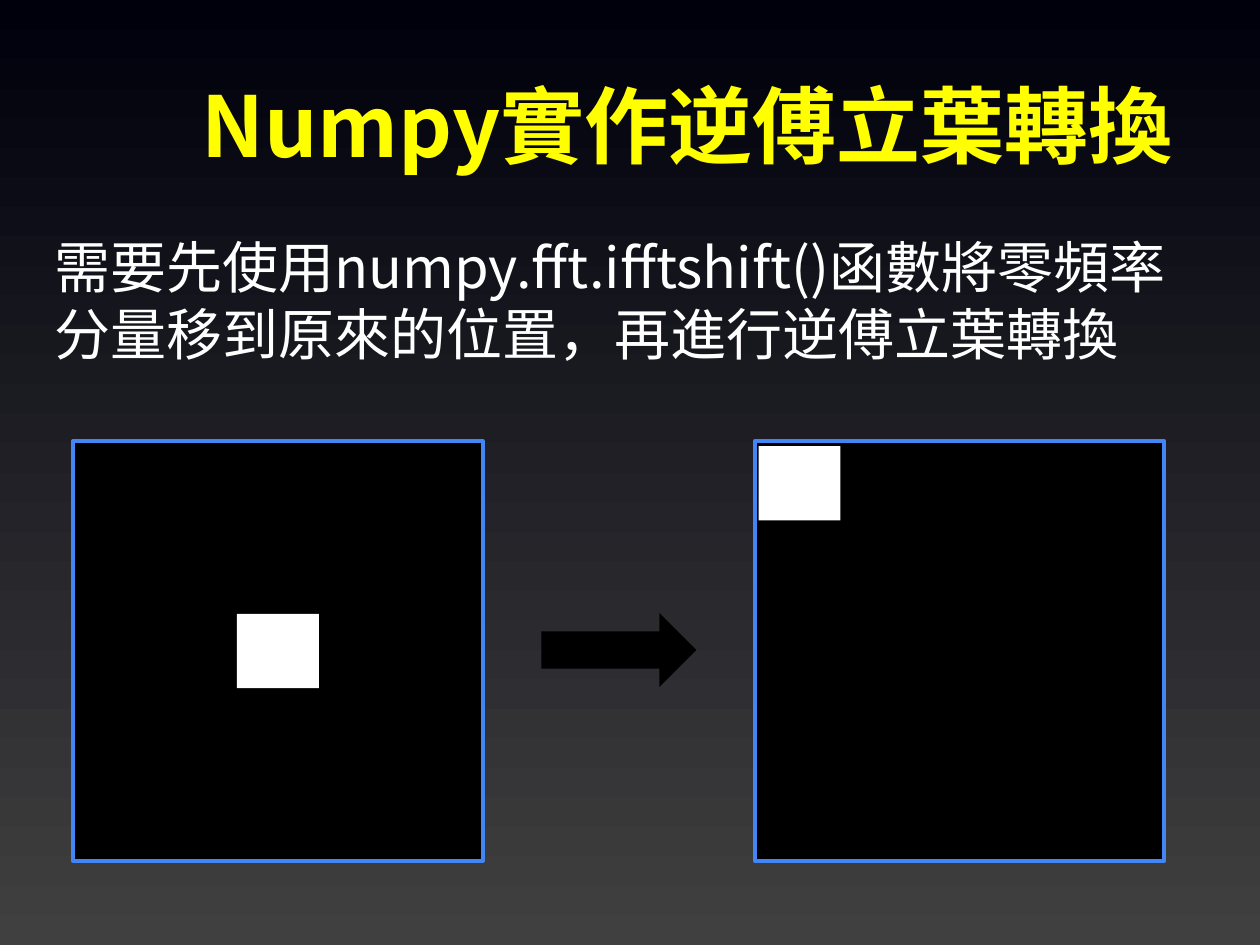
from dataclasses import dataclass

from lxml.etree import SubElement
from pptx import Presentation
from pptx.dml.color import RGBColor
from pptx.enum.shapes import MSO_SHAPE
from pptx.enum.text import MSO_ANCHOR
from pptx.oxml.ns import qn
from pptx.util import Pt

FONT = "Noto Sans CJK SC"
BLACK = RGBColor(0x00, 0x00, 0x00)
WHITE = RGBColor(0xFF, 0xFF, 0xFF)
YELLOW = RGBColor(0xFF, 0xFF, 0x00)
BLUE = RGBColor(0x42, 0x85, 0xF4)
GRAY = RGBColor(0x40, 0x40, 0x40)
NAVY = RGBColor(0x00, 0x00, 0x0C)

PANEL_W, PANEL_H, PANEL_TOP = 234, 240, 252
SPOT_W, SPOT_H = 46.8, 42.5
CENTER = (PANEL_W - SPOT_W) / 2, (PANEL_H - SPOT_H) / 2
CORNER = 2.2, 2.9


@dataclass
class Box:
    left: float
    top: float
    width: float
    height: float

    def emu(self) -> tuple:
        return Pt(self.left), Pt(self.top), Pt(self.width), Pt(self.height)


@dataclass
class Label:
    box: Box
    runs: tuple
    size: float
    color: RGBColor
    bold: bool
    anchor: MSO_ANCHOR
    inset_top: float
    inset_bottom: float
    line_pitch: float | None = None


@dataclass
class Panel:
    left: float
    spot: tuple


def add_label(slide, label: Label) -> None:
    tf = slide.shapes.add_textbox(*label.box.emu()).text_frame
    tf.word_wrap = True
    tf.vertical_anchor = label.anchor
    tf.margin_left = tf.margin_right = Pt(7.2)
    tf.margin_top, tf.margin_bottom = Pt(label.inset_top), Pt(label.inset_bottom)
    p = tf.paragraphs[0]
    if label.line_pitch:
        p.line_spacing = Pt(label.line_pitch)
    for text in label.runs:
        r = p.add_run()
        r.text = text
        r.font.name = FONT
        r.font.size = Pt(label.size)
        r.font.bold = label.bold
        r.font.color.rgb = label.color
        # East Asian characters take their own typeface setting
        SubElement(r.font._element, qn("a:ea")).set("typeface", FONT)


def add_block(shapes, kind: MSO_SHAPE, box: Box, fill: RGBColor,
              line: RGBColor | None = None) -> None:
    sp = shapes.add_shape(kind, *box.emu())
    sp.shadow.inherit = False
    sp.fill.solid()
    sp.fill.fore_color.rgb = fill
    if line is None:
        sp.line.fill.background()
    else:
        sp.line.color.rgb = line
        sp.line.width = Pt(2.25)


def add_panel(slide, panel: Panel) -> None:
    shapes = slide.shapes.add_group_shape().shapes
    add_block(shapes, MSO_SHAPE.RECTANGLE,
              Box(panel.left, PANEL_TOP, PANEL_W, PANEL_H), BLACK, BLUE)
    dx, dy = panel.spot
    add_block(shapes, MSO_SHAPE.RECTANGLE,
              Box(panel.left + dx, PANEL_TOP + dy, SPOT_W, SPOT_H), WHITE)


LABELS = [
    Label(Box(108, 23.8, 594, 77.8), ("Numpy", "實作逆傅立葉轉換"),
          48, YELLOW, True, MSO_ANCHOR.BOTTOM, 0, 2),
    Label(Box(23.8, 126, 671.8, 85),
          ("需要先使用", "numpy.fft.ifftshift()",
           "函數將零頻率分量移到原來的位置，再進行逆傅立葉轉換"),
          32, WHITE, False, MSO_ANCHOR.TOP, 7.2, 1, 38.3),
]
PANELS = [Panel(431.3, CORNER), Panel(41.8, CENTER)]


def main() -> None:
    prs = Presentation()
    prs.slide_width, prs.slide_height = Pt(720), Pt(540)
    slide = prs.slides.add_slide(prs.slide_layouts[6])

    # Background, gray at the bottom to navy at the top
    fill = slide.background.fill
    fill.gradient()
    fill.gradient_angle = 90
    for stop, color, position in zip(fill.gradient_stops, (GRAY, NAVY), (0, 1)):
        stop.color.rgb = color
        stop.position = position

    # Title and explanation
    for label in LABELS:
        add_label(slide, label)

    # Spectrum after and before the shift, and the arrow between
    for panel in PANELS:
        add_panel(slide, panel)
    add_block(slide.shapes, MSO_SHAPE.RIGHT_ARROW,
              Box(309.4, 350.2, 88.6, SPOT_H), BLACK)

    prs.save("out.pptx")


if __name__ == "__main__":
    main()
